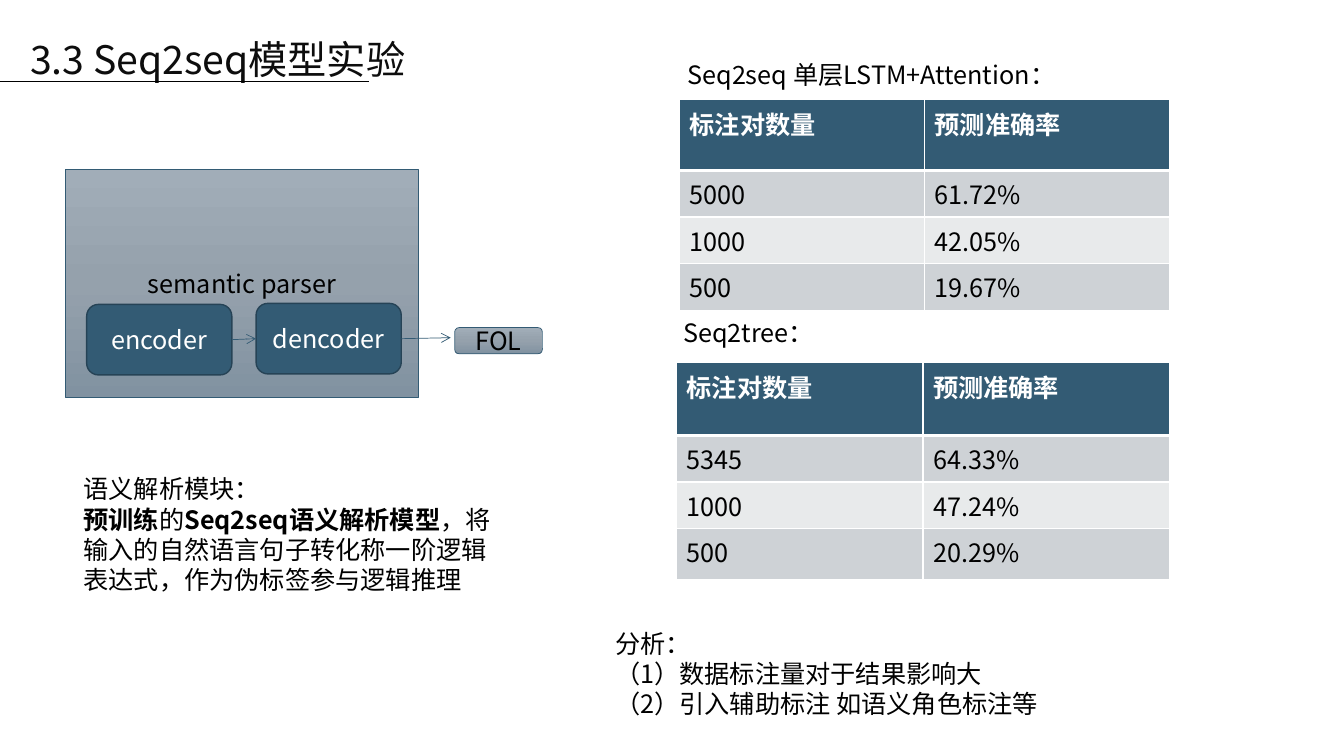
from copy import deepcopy
from lxml.etree import SubElement
from pptx import Presentation
from pptx.dml.color import RGBColor
from pptx.enum.shapes import MSO_CONNECTOR, MSO_SHAPE
from pptx.enum.text import MSO_ANCHOR, MSO_AUTO_SIZE, PP_ALIGN
from pptx.oxml.ns import qn
from pptx.util import Emu, Pt

PX = 9144  # 100 px to the inch
FONT = "Noto Sans CJK SC"
HEX = {"ink": "000000", "title": "0D0D0D", "white": "FFFFFF", "blue": "335B74",
       "edge": "264356", "odd": "CED2D6", "even": "E8EAEB",
       "top": "A1ADB8", "mid": "95A1AC", "low": "8192A1"}


def color(name):
    return RGBColor.from_string(HEX[name])


def assign(item, values):
    for key, value in values.items():
        setattr(item, key, value)


class Board:
    def __init__(self, deck):
        self.slide = deck.slides.add_slide(deck.slide_layouts[1])
        self.shapes = self.slide.shapes
        self.frame = {"word_wrap": True, "vertical_anchor": MSO_ANCHOR.TOP,
                      "auto_size": MSO_AUTO_SIZE.NONE}
        self.para = {"alignment": PP_ALIGN.LEFT, "space_before": Pt(0)}

    def letter(self, frame, lines, ink="ink", size=18, bold=False, **para):
        """Each line is a string or a list of (text, bold) runs."""
        for i, line in enumerate(lines):
            part = frame.add_paragraph() if i else frame.paragraphs[0]
            assign(part, {**self.para, **para})
            for text, heavy in [(line, bold)] if isinstance(line, str) else line:
                run = part.add_run()
                run.text = text
                assign(run.font, {"name": FONT, "size": Pt(size), "bold": heavy})
                run.font.color.rgb = color(ink)
                SubElement(run._r.get_or_add_rPr(), qn("a:ea"), typeface=FONT)

    def place(self, holder, box, lines, **look):
        assign(holder, dict(zip(("left", "top", "width", "height"),
                                [Emu(n * PX) for n in box])))
        assign(holder.text_frame, self.frame)
        self.letter(holder.text_frame, lines, **look)

    def title(self, box, text):
        frame = self.shapes.title.text_frame
        assign(frame, {"margin_left": 7 * PX, "margin_right": 7 * PX,
                       "margin_top": 4 * PX, "margin_bottom": 4 * PX})
        self.place(self.shapes.title, box, [text], ink="title", size=28,
                   alignment=PP_ALIGN.CENTER)

    def body(self, box, lines):
        holder = self.slide.placeholders[1]
        self.place(holder, box, lines)
        for part in holder.text_frame.paragraphs:
            props = part._p.get_or_add_pPr()
            for key in ("marL", "indent"):
                props.set(key, "0")
            SubElement(props, qn("a:buNone"))

    def text(self, box, lines):
        self.place(self.shapes.add_textbox(0, 0, 0, 0), box, lines)

    def block(self, kind, box, text, ink="ink", edge="blue", width=0.5, shade=True):
        shape = self.shapes.add_shape(kind, *[n * PX for n in box])
        shape.shadow.inherit = False
        if shade:
            shape.fill.gradient()
            shape.fill.gradient_angle = 270
            stops = shape._element.spPr.find(".//" + qn("a:gsLst"))
            stops.insert(1, deepcopy(stops[0]))
            for stop, spot, name in zip(shape.fill.gradient_stops, (0, 0.5, 1),
                                        ("top", "mid", "low")):
                stop.position = spot
                stop.color.rgb = color(name)
        else:
            shape.fill.solid()
            shape.fill.fore_color.rgb = color("blue")
        shape.line.color.rgb = color(edge)
        shape.line.width = Pt(width)
        assign(shape.text_frame, {**self.frame, "vertical_anchor": MSO_ANCHOR.MIDDLE})
        self.letter(shape.text_frame, [text], ink=ink, alignment=PP_ALIGN.CENTER)

    def line(self, ends, ink="blue", arrow=True):
        link = self.shapes.add_connector(MSO_CONNECTOR.STRAIGHT, *[n * PX for n in ends])
        link.line.color.rgb = color(ink)
        link.line.width = Pt(0.5)
        props = link._element.spPr
        if arrow:
            SubElement(props.find(qn("a:ln")), qn("a:tailEnd"), type="arrow")
        SubElement(props, qn("a:effectLst"))

    def border(self, cell, row):
        props = cell._tc.get_or_add_tcPr()
        for side in "LRTB":
            thick = (side, row) in (("B", 0), ("T", 1))
            edge = SubElement(props, qn("a:ln" + side), w=str(Pt(3 if thick else 1)))
            fill = SubElement(edge, qn("a:solidFill"))
            SubElement(fill, qn("a:srgbClr"), val=HEX["white"])

    def table(self, box, highs, rows):
        grid = self.shapes.add_table(len(rows), len(rows[0]),
                                     *[n * PX for n in box]).table
        for r, (high, row) in enumerate(zip(highs, rows)):
            grid.rows[r].height = Emu(high * PX)
            for c, text in enumerate(row):
                cell = grid.cell(r, c)
                self.border(cell, r)
                cell.fill.solid()
                tone = "blue" if r == 0 else "odd" if r % 2 else "even"
                cell.fill.fore_color.rgb = color(tone)
                self.letter(cell.text_frame, [text], bold=r == 0,
                            ink="ink" if r else "white")


def main():
    deck = Presentation()
    assign(deck, {"slide_width": Emu(1333 * PX), "slide_height": Emu(750 * PX)})
    board = Board(deck)

    # Heading
    board.line((0, 81, 366, 81), ink="ink", arrow=False)
    board.title((-59, 31, 550, 54), "3.3 Seq2seq模型实验")

    # Parser diagram
    board.block(MSO_SHAPE.RECTANGLE, (65, 168, 350, 226), "semantic parser")
    for left, top, name in ((86, 302, "encoder"), (254, 301, "dencoder")):
        board.block(MSO_SHAPE.ROUNDED_RECTANGLE, (left, top, 144, 70), name,
                    ink="white", edge="edge", width=1, shade=False)
    board.block(MSO_SHAPE.ROUNDED_RECTANGLE, (451, 325, 87, 26), "FOL")
    board.line((230, 337, 254, 336))
    board.line((398, 336, 447, 335))
    board.text((73, 465, 444, 131), [
        "语义解析模块：",
        [("预训练", True), ("的", False), ("Seq2seq语义解析模型", True),
         ("，将输入的自然语言句子转化称一阶逻辑表达式，作为伪标签参与逻辑推理", False)]])

    # Result tables
    head = ("标注对数量", "预测准确率")
    board.text((672, 54, 413, 40), ["Seq2seq 单层LSTM+Attention："])
    board.table((674, 99, 486, 194), (70, 42, 42, 40), [
        head, ("5000", "61.72%"), ("1000", "42.05%"), ("500", "19.67%")])
    board.text((668, 310, 413, 40), ["Seq2tree："])
    board.table((671, 360, 489, 209), (72, 43, 43, 51), [
        head, ("5345", "64.33%"), ("1000", "47.24%"), ("500", "20.29%")])

    # Analysis
    board.body((600, 618, 797, 101), [
        "分析：", "（1）数据标注量对于结果影响大",
        "（2）引入辅助标注 如语义角色标注等"])
    deck.save("out.pptx")


if __name__ == "__main__":
    main()
